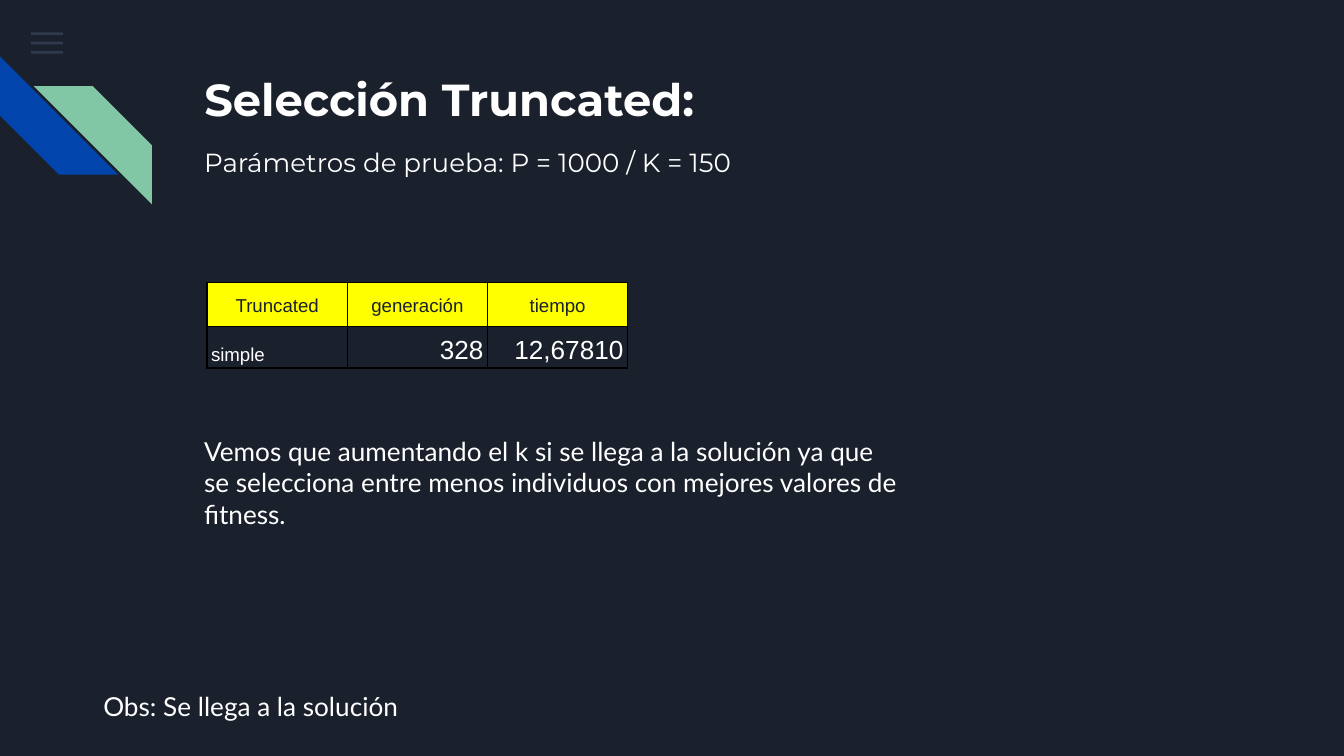
from lxml.etree import SubElement
from pptx import Presentation
from pptx.dml.color import RGBColor
from pptx.enum.shapes import MSO_SHAPE
from pptx.enum.text import MSO_ANCHOR, MSO_AUTO_SIZE, PP_ALIGN
from pptx.oxml.ns import qn
from pptx.util import Inches, Pt

COLORS = {
    "back": "1B212C",
    "menu": "55688B",
    "blue": "0145AC",
    "green": "82C7A5",
    "white": "FFFFFF",
    "yellow": "FFFF00",
    "black": "000000",
}


def paint(fill, name):
    fill.solid()
    fill.fore_color.rgb = RGBColor.from_string(COLORS[name])


def write(frame, text, font="Lato", size=14, color="white", bold=False,
          align=PP_ALIGN.LEFT, space=None):
    frame.text = text
    line = frame.paragraphs[0]
    line.alignment = align
    if space:
        line.line_spacing = space
    style = line.runs[0].font
    style.name, style.size, style.bold = font, Pt(size), bold
    style.color.rgb = RGBColor.from_string(COLORS[color])


def set_frame(frame, fit):
    frame.word_wrap = True
    frame.auto_size = fit
    frame.vertical_anchor = MSO_ANCHOR.TOP
    frame.margin_left = frame.margin_right = Inches(0.1)
    frame.margin_top = frame.margin_bottom = Inches(0.1)


def add_form(slide, kind, box, color):
    shape = slide.shapes.add_shape(kind, *map(Inches, box))
    shape.shadow.inherit = False
    paint(shape.fill, color)
    shape.line.fill.background()
    return shape


def add_menu(slide, left, top, width):
    for row in range(3):
        bar = add_form(slide, MSO_SHAPE.RECTANGLE,
                       (left, top + row * 0.07, width, 0.02), "menu")
        tint = bar._element.spPr.find(qn("a:solidFill"))[0]
        SubElement(tint, qn("a:alpha"), val="36000")


def add_stripes(slide, left, top, side):
    for dx, dy, turn, color in ((0, 0, 270, "blue"), (0.25, 0.22, 90, "green")):
        stripe = add_form(slide, MSO_SHAPE.DIAGONAL_STRIPE,
                          (left + dx, top + dy, side, side), color)
        stripe.adjustments[0] = 0.5
        stripe.rotation = turn


def add_title(slide, left, top, width, height):
    title = slide.shapes.title
    title.left, title.top = Inches(left), Inches(top)
    title.width, title.height = Inches(width), Inches(height)
    set_frame(title.text_frame, MSO_AUTO_SIZE.NONE)
    write(title.text_frame, "Selección Truncated:", font="Montserrat",
          size=24, bold=True)


def add_note(slide, box, text, **style):
    note = slide.shapes.add_textbox(*map(Inches, box))
    set_frame(note.text_frame, MSO_AUTO_SIZE.SHAPE_TO_FIT_TEXT)
    write(note.text_frame, text, **style)


def add_edges(cell):
    props = cell._tc.get_or_add_tcPr()
    for spot, side in enumerate(("lnL", "lnR", "lnT", "lnB")):
        edge = SubElement(props, qn("a:" + side), w=str(Pt(0.75)))
        fill = SubElement(edge, qn("a:solidFill"))
        SubElement(fill, qn("a:srgbClr"), val=COLORS["black"])
        props.insert(spot, edge)


def fill_cell(cell, text, head, **style):
    cell.margin_left = cell.margin_right = Inches(0.03)
    cell.margin_top = cell.margin_bottom = Inches(0.02)
    cell.vertical_anchor = MSO_ANCHOR.MIDDLE if head else MSO_ANCHOR.BOTTOM
    if head:
        paint(cell.fill, "yellow")
    else:
        cell.fill.background()
    write(cell.text_frame, text, font="Arial", space=1.15,
          color="back" if head else "white", **style)
    add_edges(cell)


def add_results(slide, left, top, width):
    rows = (("Truncated", "generación", "tiempo"),
            ("simple", "328", "12,67810"))
    highs = (0.33, 0.28)
    table = slide.shapes.add_table(
        2, 3, Inches(left), Inches(top), Inches(width), Inches(sum(highs))).table
    table.first_row = table.horz_banding = False
    for r, (row, high) in enumerate(zip(rows, highs)):
        table.rows[r].height = Inches(high)
        for c, text in enumerate(row):
            head = r == 0
            align = (PP_ALIGN.CENTER if head
                     else PP_ALIGN.RIGHT if c else PP_ALIGN.LEFT)
            fill_cell(table.cell(r, c), text, head, align=align,
                      size=14 if r and c else 10)


def main():
    deck = Presentation()
    deck.slide_width = Inches(10)
    deck.slide_height = deck.slide_width * 9 // 16
    slide = deck.slides.add_slide(deck.slide_layouts[5])
    paint(slide.background.fill, "back")
    add_menu(slide, 0.23, 0.24, 0.24)
    add_stripes(slide, 0, 0.42, 0.88)
    add_title(slide, 1.42, 0.43, 7.7, 1)
    add_note(slide, (1.42, 0.99, 4.79, 0.44),
             "Parámetros de prueba: P = 1000 / K = 150", font="Montserrat")
    add_results(slide, 1.54, 2.1, 3.13)
    add_note(slide, (1.42, 3.14, 5.39, 0.91),
             "Vemos que aumentando el k si se llega a la solución ya que se "
             "selecciona entre menos individuos con mejores valores de fitness.")
    add_note(slide, (0.67, 5.04, 2.99, 0.44), "Obs: Se llega a la solución")
    deck.save("out.pptx")


if __name__ == "__main__":
    main()
